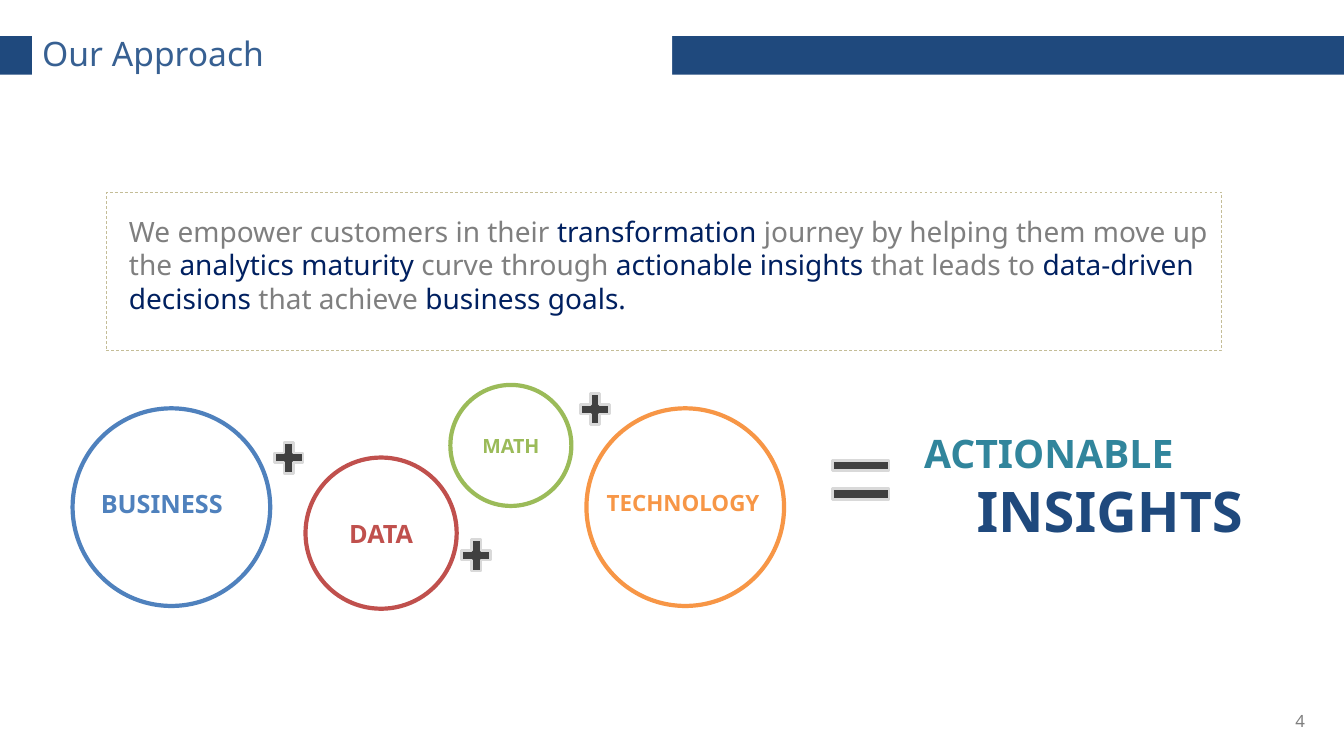
from dataclasses import dataclass

from pptx import Presentation
from pptx import util as u
from pptx.dml import color
from pptx.enum import dml, shapes, text

FONT = "Noto Sans"
NAVY, GREY, DARK_BLUE = "1F497D", "7F7F7F", "002060"
BLUE, RED, GREEN, ORANGE = "4F81BD", "C0504D", "9BBB59", "F79646"
LEFT, CENTER, RIGHT = text.PP_ALIGN.LEFT, text.PP_ALIGN.CENTER, text.PP_ALIGN.RIGHT
TOP, MIDDLE = text.MSO_ANCHOR.TOP, text.MSO_ANCHOR.MIDDLE
Kind = shapes.MSO_SHAPE


@dataclass(frozen=True)
class Area:
    left: float
    top: float
    width: float
    height: float

    def lengths(self) -> list[u.Length]:
        return [u.Cm(value) for value in (self.left, self.top, self.width, self.height)]


@dataclass(frozen=True)
class Figure:
    kind: Kind
    area: Area
    fill: str = ""
    line: str = ""
    weight: float = 0


@dataclass(frozen=True)
class Label:
    area: Area
    words: str
    size: float
    color: str
    bold: bool = True
    align: text.PP_ALIGN = LEFT
    anchor: text.MSO_ANCHOR = TOP


@dataclass(frozen=True)
class Ring:
    left: float
    top: float
    diameter: float
    color: str
    words: str = ""
    size: float = 0


RINGS = [
    Ring(7.7, 11.53, 3.81, RED, "DATA", 18),
    Ring(11.35, 9.7, 3.05, GREEN, "MATH", 14),
    Ring(14.78, 10.29, 4.98, ORANGE),
    Ring(1.83, 10.29, 4.98, BLUE),
]
PLUS_CORNERS = [(11.51, 13.46), (14.5, 9.78), (6.78, 11)]
LABELS = [
    Label(Area(31.57, 17.65, 1.57, 1.02), "4", 12, GREY, False, RIGHT, MIDDLE),
    Label(Area(15.04, 12.19, 5.77, 0.94), "TECHNOLOGY", 16, ORANGE),
    Label(Area(2.29, 12.19, 5.77, 1.02), "BUSINESS", 18, BLUE),
    Label(Area(23.04, 10.69, 9.53, 1.45), "ACTIONABLE", 28, "31859C"),
    Label(Area(24.36, 11.89, 9.4, 1.96), "INSIGHTS", 40, NAVY),
]
MISSION = [
    ("We empower customers in their ", GREY),
    ("transformation ", DARK_BLUE),
    ("journey by helping them move up the ", GREY),
    ("analytics maturity ", DARK_BLUE),
    ("curve through ", GREY),
    ("actionable insights ", DARK_BLUE),
    ("that leads to ", GREY),
    ("data-driven decisions ", DARK_BLUE),
    ("that achieve ", GREY),
    ("business goals.", DARK_BLUE),
]


def rgb(value: str) -> color.RGBColor:
    return color.RGBColor.from_string(value)


def apply(target, values: dict) -> None:
    for name, value in values.items():
        setattr(target, name, value)


def add_span(para, words: str, size: float, shade: str, bold: bool = False) -> None:
    span = para.add_run()
    span.text = words
    apply(span.font, {"name": FONT, "size": u.Pt(size), "bold": bold})
    span.font.color.rgb = rgb(shade)


def format_frame(frame, anchor: text.MSO_ANCHOR) -> None:
    apply(frame, {"word_wrap": True, "auto_size": text.MSO_AUTO_SIZE.NONE,
                  "vertical_anchor": anchor})


def write(box, words: str, size: float, shade: str, bold: bool,
          align: text.PP_ALIGN, anchor: text.MSO_ANCHOR) -> None:
    format_frame(box.text_frame, anchor)
    para = box.text_frame.paragraphs[0]
    para.alignment = align
    add_span(para, words, size, shade, bold)


def draw_figure(page, figure: Figure):
    shape = page.shapes.add_shape(figure.kind, *figure.area.lengths())
    shape.shadow.inherit = False
    if figure.fill:
        shape.fill.solid()
        shape.fill.fore_color.rgb = rgb(figure.fill)
    else:
        shape.fill.background()
    if figure.line:
        shape.line.color.rgb = rgb(figure.line)
        shape.line.width = u.Pt(figure.weight)
    else:
        shape.line.fill.background()
    return shape


def draw_ring(page, ring: Ring) -> None:
    area = Area(ring.left, ring.top, ring.diameter, ring.diameter)
    circle = draw_figure(page, Figure(Kind.OVAL, area, line=ring.color, weight=3))
    if ring.words:
        write(circle, ring.words, ring.size, ring.color, True, CENTER, MIDDLE)


def draw_label(page, label: Label) -> None:
    box = page.shapes.add_textbox(*label.area.lengths())
    write(box, label.words, label.size, label.color, label.bold, label.align, label.anchor)


def draw_header(page) -> None:
    band = draw_figure(page, Figure(Kind.RECTANGLE, Area(0, 0.91, 33.87, 0.97), NAVY))
    title = page.shapes.title
    title.element.addprevious(band.element)
    places = Area(0.81, 0, 16.13, 2.69).lengths()
    apply(title, dict(zip(("left", "top", "width", "height"), places)))
    title.fill.solid()
    title.fill.fore_color.rgb = rgb("FFFFFF")
    write(title, "Our Approach", 24, "376092", False, LEFT, MIDDLE)


def draw_mission(page) -> None:
    box = page.shapes.add_textbox(*Area(3, 5.27, 27.76, 3.6).lengths())
    format_frame(box.text_frame, TOP)
    para = box.text_frame.paragraphs[0]
    para.line_spacing = u.Pt(24)
    for words, shade in MISSION:
        add_span(para, words, 20, shade)
    border = Figure(Kind.RECTANGLE, Area(2.67, 4.85, 28.12, 3.99), line="C4BD97", weight=0.5)
    draw_figure(page, border).line.dash_style = dml.MSO_LINE.DASH


def draw_signs(page) -> None:
    look = {"fill": "404040", "line": "D9D9D9", "weight": 2}
    equal = draw_figure(page, Figure(Kind.MATH_EQUAL, Area(20.73, 11.53, 1.93, 1.12), **look))
    equal.adjustments[0] = 0.235
    equal.adjustments[1] = 0.403
    for left, top in PLUS_CORNERS:
        draw_figure(page, Figure(Kind.MATH_PLUS, Area(left, top, 0.99, 1.07), **look))


def main() -> None:
    deck = Presentation()
    apply(deck, {"slide_width": u.Cm(33.87), "slide_height": u.Cm(19.05)})
    page = deck.slides.add_slide(deck.slide_layouts.get_by_name("Title Only"))
    draw_header(page)
    draw_mission(page)
    draw_signs(page)
    for ring in RINGS:
        draw_ring(page, ring)
    for label in LABELS:
        draw_label(page, label)
    deck.save("out.pptx")


if __name__ == "__main__":
    main()
